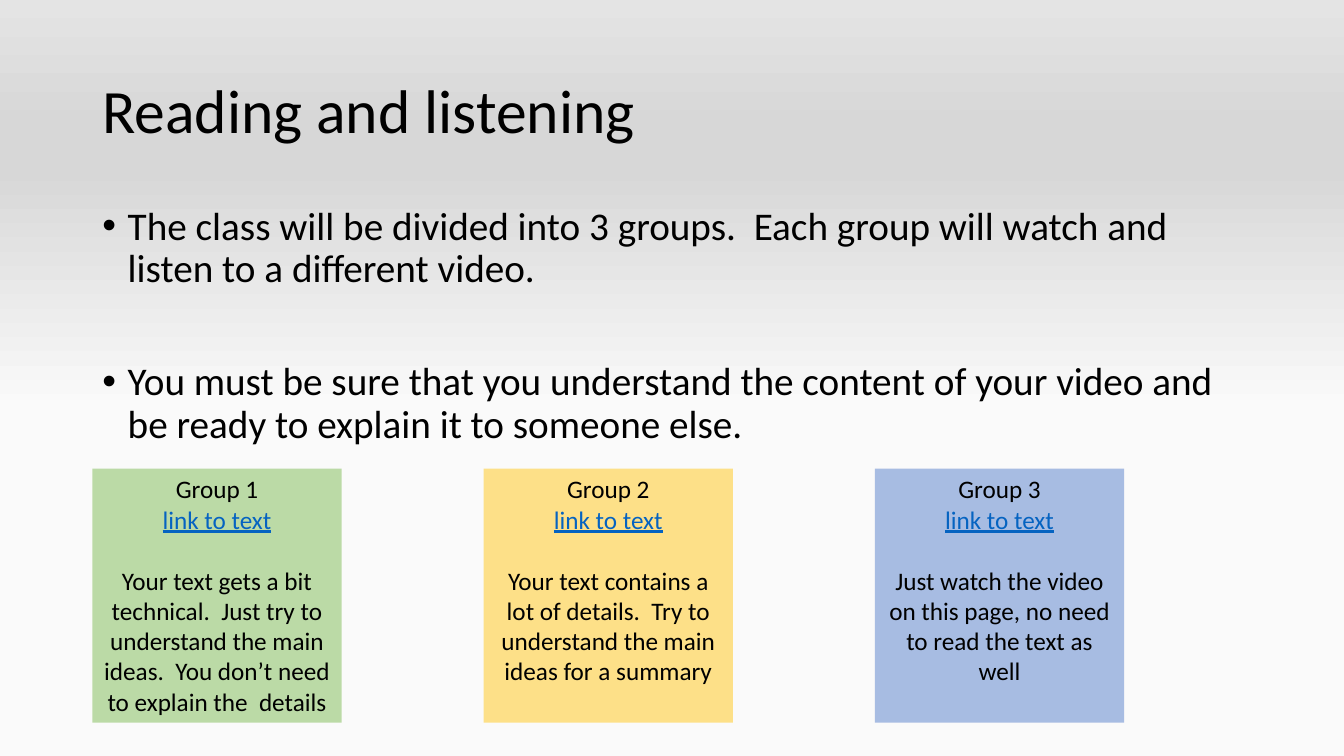
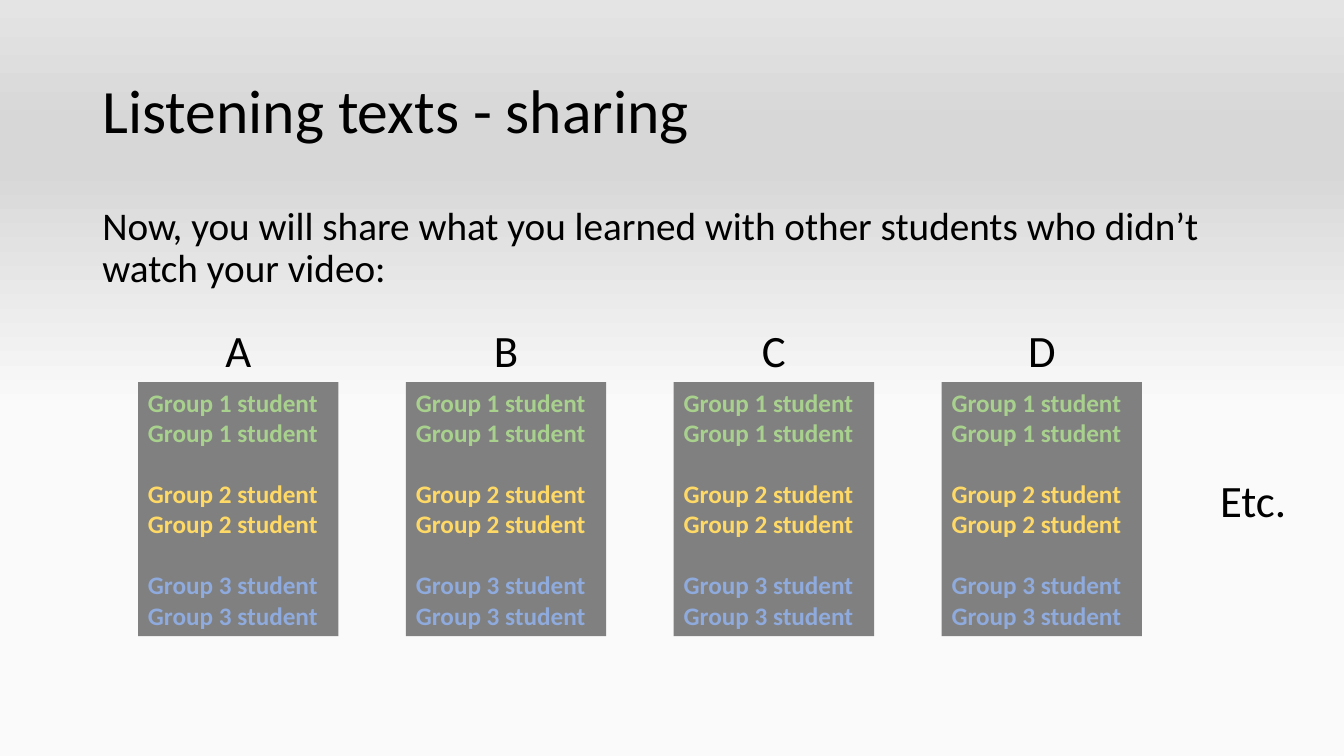
import pptx
import pptx.dml.color
import pptx.enum.shapes
import pptx.enum.text
import pptx.oxml.ns
import pptx.util
import lxml.etree

Cm = pptx.util.Cm
Pt = pptx.util.Pt
qn = pptx.oxml.ns.qn
ALIGN = pptx.enum.text.PP_ALIGN
ANCHOR = pptx.enum.text.MSO_ANCHOR

FONT = "Calibri"
BLACK, GREY, LINK = "000000", "808080", "0563C1"
GROUP_COLORS = ["A9D18E", "FFD966", "8FAADC"]
BACKGROUND_STOPS = [(46, "FAFAFA"), (78, "D7D7D7"), (83, "D7D7D7"), (100, "E4E4E4")]
MARGIN, CONTENT_WIDTH = 2.33, 29.21
BOX_HEIGHT = 6.4
GROUP_GAP = 22


def color(value):
    return pptx.dml.color.RGBColor.from_string(value)


class Deck:
    def __init__(self):
        self.presentation = pptx.Presentation()
        self.presentation.slide_width = Cm(33.87)
        self.presentation.slide_height = Cm(19.05)
        self.slide = None
        self.set_background()

    def set_background(self):
        master = self.presentation.slide_master
        fill = master.background.fill
        fill.gradient()
        fill.gradient_angle = 90
        stops = master.element.find(".//" + qn("a:gsLst"))
        for stop in list(stops):
            stops.remove(stop)
        for position, value in BACKGROUND_STOPS:
            stop = lxml.etree.SubElement(stops, qn("a:gs"), pos=str(position * 1000))
            lxml.etree.SubElement(stop, qn("a:srgbClr"), val=value)

    def add_slide(self, title):
        self.slide = self.presentation.slides.add_slide(self.presentation.slide_layouts[6])
        shape = self.text(title, MARGIN, 1.01, CONTENT_WIDTH, 3.68, 44)
        shape.text_frame.vertical_anchor = ANCHOR.MIDDLE
        shape.text_frame.paragraphs[0].line_spacing = 0.9

    def set_text(self, shape, text, size, align=ALIGN.LEFT):
        frame = shape.text_frame
        frame.word_wrap = True
        frame.vertical_anchor = ANCHOR.TOP
        frame.text = text
        for paragraph in frame.paragraphs:
            paragraph.alignment = align
            for run in paragraph.runs:
                run.font.name = FONT
                run.font.size = Pt(size)
                run.font.color.rgb = color(BLACK)
        return frame.paragraphs

    def text(self, text, left, top, width, height, size, align=ALIGN.LEFT):
        shape = self.slide.shapes.add_textbox(Cm(left), Cm(top), Cm(width), Cm(height))
        self.set_text(shape, text, size, align)
        return shape

    def body(self, text, bullets=False):
        shape = self.text(text, MARGIN, 5.08, CONTENT_WIDTH, 12.09, 28)
        for index, paragraph in enumerate(shape.text_frame.paragraphs):
            if bullets:
                properties = paragraph._p.get_or_add_pPr()
                properties.set("marL", str(Cm(0.64)))
                properties.set("indent", str(-Cm(0.64)))
                lxml.etree.SubElement(properties, qn("a:buFont"), typeface="Arial")
                lxml.etree.SubElement(properties, qn("a:buChar"), char="•")
            paragraph.line_spacing = 0.9
            if index:
                paragraph.space_before = Pt(50.5)

    def box(self, left, top, width, fill, opacity=100):
        shape = self.slide.shapes.add_shape(
            pptx.enum.shapes.MSO_SHAPE.RECTANGLE, Cm(left), Cm(top), Cm(width), Cm(BOX_HEIGHT))
        shape.shadow.inherit = False
        shape.line.fill.background()
        shape.fill.solid()
        shape.fill.fore_color.rgb = color(fill)
        if opacity < 100:
            value = shape.element.spPr.find(qn("a:solidFill")).find(qn("a:srgbClr"))
            lxml.etree.SubElement(value, qn("a:alpha"), val=str(opacity * 1000))
        return shape

    def task_card(self, left, heading, task, fill):
        shape = self.box(left, 11.81, 6.28, fill, 77)
        lines = self.set_text(shape, f"{heading}\nlink to text\n{task}", 18, ALIGN.CENTER)
        link = lines[1].runs[0].font
        link.color.rgb = color(LINK)
        link.underline = True
        lines[2].space_before = Pt(GROUP_GAP)

    def label(self, text, center, top, width):
        self.text(text, center - width / 2, top, width, 1.62, 32, ALIGN.CENTER)

    def student_column(self, left, name):
        width = 5.05
        members = [number for number in range(len(GROUP_COLORS)) for seat in range(2)]
        text = "\n".join(f"Group {number + 1} student" for number in members)
        lines = self.set_text(self.box(left, 9.63, width, GREY), text, 18)
        for index, (number, paragraph) in enumerate(zip(members, lines)):
            font = paragraph.runs[0].font
            font.bold = True
            font.color.rgb = color(GROUP_COLORS[number])
            if index and index % 2 == 0:
                paragraph.space_before = Pt(GROUP_GAP)
        self.label(name, left + width / 2, 8, 1.68)


def main():
    deck = Deck()

    deck.add_slide("Reading and listening")
    deck.body(
        "The class will be divided into 3 groups.  Each group will watch and listen "
        "to a different video.\n"
        "You must be sure that you understand the content of your video and be ready "
        "to explain it to someone else.", bullets=True)
    tasks = [
        "Your text gets a bit technical.  Just try to understand the main ideas.  "
        "You don’t need to explain the  details",
        "Your text contains a lot of details.  Try to understand the main ideas for a summary",
        "Just watch the video on this page, no need to read the text as well",
    ]
    for index, (task, fill) in enumerate(zip(tasks, GROUP_COLORS)):
        deck.task_card(MARGIN + index * 9.86, f"Group {index + 1}", task, fill)

    deck.add_slide("Listening texts - sharing")
    deck.body("Now, you will share what you learned with other students who didn’t "
              "watch your video:")
    for index, name in enumerate("ABCD"):
        deck.student_column(3.48 + index * 6.75, name)
    deck.label("Etc.", 31.58, 11.79, 2.4)

    deck.presentation.save("out.pptx")


if __name__ == "__main__":
    main()
